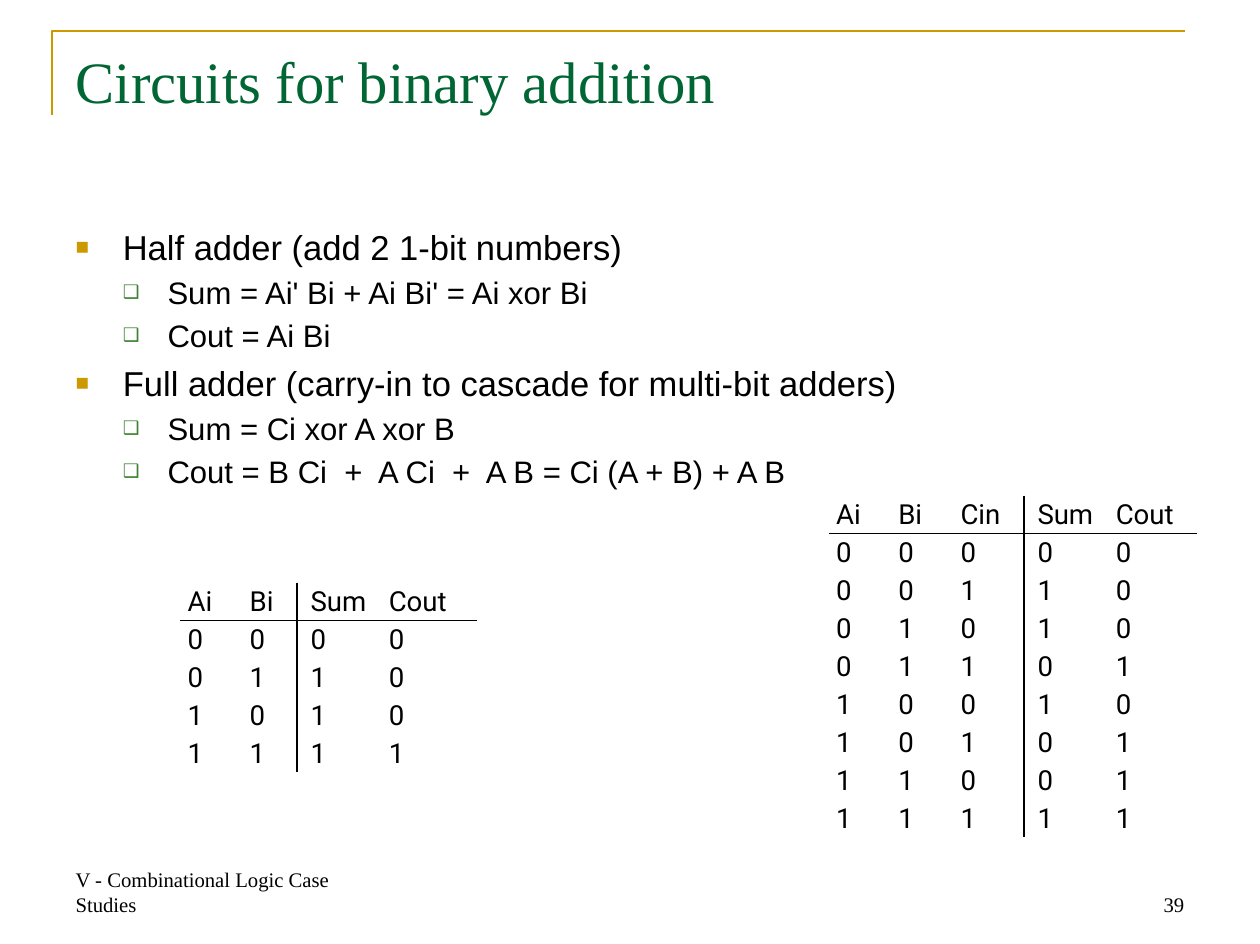
import pptx
import pptx.dml.color
import pptx.enum.shapes
import pptx.enum.text
import pptx.oxml
import pptx.oxml.ns
import pptx.util
from pptx.util import Inches

NO_STYLE_NO_GRID = "{2D5ABB26-0587-4C30-8999-92F81FD0307C}"
NAMESPACE = pptx.oxml.ns.nsdecls("a")
ANCHOR = pptx.enum.text.MSO_ANCHOR
ALIGN = pptx.enum.text.PP_ALIGN


def color(hex_string):
    return pptx.dml.color.RGBColor.from_string(hex_string)


def add_run(paragraph, text, size, font_name, hex_string="000000"):
    run = paragraph.add_run()
    run.text = text
    run.font.size = pptx.util.Pt(size)
    run.font.name = font_name
    run.font.color.rgb = color(hex_string)


presentation = pptx.Presentation()
presentation.slide_width = Inches(10.14)
presentation.slide_height = Inches(7.6)
slide = presentation.slides.add_slide(presentation.slide_layouts[5])

# Corner rule above and left of the title
builder = slide.shapes.build_freeform(Inches(0.42), Inches(0.93))
builder.add_line_segments(
    [(Inches(0.42), Inches(0.25)), (Inches(9.54), Inches(0.25))], close=False)
corner_rule = builder.convert_to_shape()
corner_rule.fill.background()
corner_rule.line.color.rgb = color("CC9900")
corner_rule.line.width = pptx.util.Pt(1.5)
corner_rule.shadow.inherit = False

# Title
title = slide.shapes.title
title.left, title.top = Inches(0.51), Inches(0.31)
title.width, title.height = Inches(9.12), Inches(1.26)
title.text_frame.vertical_anchor = ANCHOR.TOP
title.text_frame.auto_size = pptx.enum.text.MSO_AUTO_SIZE.NONE
paragraph = title.text_frame.paragraphs[0]
paragraph.alignment = ALIGN.LEFT
add_run(paragraph, "Circuits for binary addition", 34, "Times New Roman", "006633")

# Bulleted equations: (level, text)
bullet_styles = [
    # text size, space before, indent, hanging, bullet, bullet color, bullet size
    (20, 4.5, 0.38, 0.38, "■", "CC9900", 65),
    (18, 3.5, 0.74, 0.36, "❑", "3B812F", 60),
]
bullets = [
    (0, "Half adder (add 2 1-bit numbers)"),
    (1, "Sum = Ai' Bi + Ai Bi' = Ai xor Bi"),
    (1, "Cout = Ai Bi"),
    (0, "Full adder (carry-in to cascade for multi-bit adders)"),
    (1, "Sum = Ci xor A xor B"),
    (1, "Cout = B Ci  +  A Ci  +  A B = Ci (A + B) + A B"),
]
body = slide.shapes.add_textbox(Inches(0.51), Inches(1.77), Inches(9.12), Inches(5.02))
body.text_frame.word_wrap = True
for index, (level, text) in enumerate(bullets):
    size, space, indent, hanging, bullet, bullet_color, bullet_size = bullet_styles[level]
    paragraph = body.text_frame.paragraphs[0] if index == 0 else body.text_frame.add_paragraph()
    paragraph.level = level
    paragraph.space_before = pptx.util.Pt(space)
    add_run(paragraph, text, size, "Arial")
    properties = paragraph._p.get_or_add_pPr()
    properties.set("marL", str(Inches(indent)))
    properties.set("indent", str(-Inches(hanging)))
    for xml in (
        f'<a:buClr {NAMESPACE}><a:srgbClr val="{bullet_color}"/></a:buClr>',
        f'<a:buSzPct {NAMESPACE} val="{bullet_size * 1000}"/>',
        f'<a:buFont {NAMESPACE} typeface="Arial"/>',
        f'<a:buChar {NAMESPACE} char="{bullet}"/>',
    ):
        properties.append(pptx.oxml.parse_xml(xml))

# Truth tables: left, top, column widths, number of inputs, rows
truth_tables = [
    (1.45, 4.69, [0.5, 0.44, 0.68, 0.77], 2,
     ["Ai Bi Sum Cout", "0 0 0 0", "0 1 1 0", "1 0 1 0", "1 1 1 1"]),
    (6.67, 3.99, [0.5, 0.5, 0.57, 0.68, 0.71], 3,
     ["Ai Bi Cin Sum Cout", "0 0 0 0 0", "0 0 1 1 0", "0 1 0 1 0", "0 1 1 0 1",
      "1 0 0 1 0", "1 0 1 0 1", "1 1 0 0 1", "1 1 1 1 1"]),
]
row_height = pptx.util.Pt(22)
for left, top, widths, input_count, rows in truth_tables:
    frame = slide.shapes.add_table(
        len(rows), len(widths), Inches(left), Inches(top),
        Inches(sum(widths)), row_height * len(rows))
    table = frame.table
    table.first_row = False
    table.horz_banding = False
    table._tbl.tblPr.find(pptx.oxml.ns.qn("a:tableStyleId")).text = NO_STYLE_NO_GRID
    for column, width in zip(table.columns, widths):
        column.width = Inches(width)
    for row_index, row in enumerate(rows):
        table.rows[row_index].height = row_height
        for column_index, value in enumerate(row.split()):
            cell = table.cell(row_index, column_index)
            cell.margin_left = Inches(0.11 if column_index == input_count else 0.06)
            cell.margin_right = cell.margin_top = 0
            cell.margin_bottom = Inches(0.02)
            cell.vertical_anchor = ANCHOR.BOTTOM
            cell.fill.background()
            add_run(cell.text_frame.paragraphs[0], value, 16, "Roboto")

    # Rules below the header and between inputs and outputs
    header_bottom = frame.top + row_height
    divider = frame.left + Inches(sum(widths[:input_count]))
    for ends in (
        (frame.left, header_bottom, frame.left + frame.width, header_bottom),
        (divider, frame.top, divider, frame.top + row_height * len(rows)),
    ):
        rule = slide.shapes.add_connector(pptx.enum.shapes.MSO_CONNECTOR.STRAIGHT, *ends)
        rule.line.color.rgb = color("000000")
        rule.line.width = pptx.util.Pt(1)
        rule._element.spPr.append(pptx.oxml.parse_xml(f"<a:effectLst {NAMESPACE}/>"))

# Footer and slide number
for left, text, alignment in (
    (0.51, "V - Combinational Logic Case Studies", ALIGN.LEFT),
    (7.26, "39", ALIGN.RIGHT),
):
    footer = slide.shapes.add_textbox(Inches(left), Inches(6.92), Inches(2.37), Inches(0.51))
    footer.text_frame.word_wrap = True
    footer.text_frame.vertical_anchor = ANCHOR.BOTTOM
    paragraph = footer.text_frame.paragraphs[0]
    paragraph.alignment = alignment
    add_run(paragraph, text, 12, "Times New Roman")

presentation.save("out.pptx")
